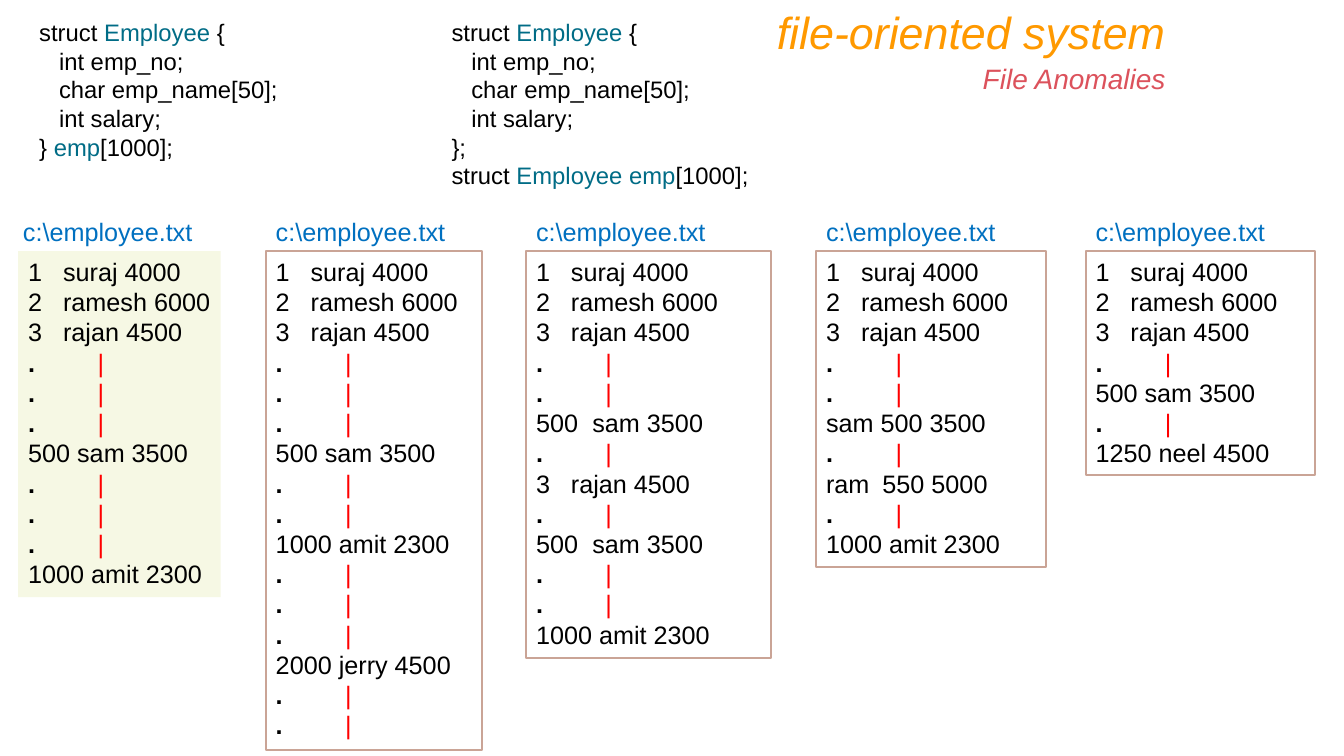
from lxml import etree
from pptx import Presentation
from pptx.dml.color import RGBColor
from pptx.enum.shapes import MSO_SHAPE
from pptx.enum.text import MSO_ANCHOR, PP_ALIGN
from pptx.oxml.ns import qn
from pptx.util import Cm, Pt

RECT = MSO_SHAPE.RECTANGLE
TOP = MSO_ANCHOR.TOP
LEFT, RIGHT = PP_ALIGN.LEFT, PP_ALIGN.RIGHT

BLACK, TEAL, BLUE, RED = "000000", "006C86", "0070C0", "FF0000"
ORANGE, ROSE, CREAM, TAN = "FF9900", "DC525C", "F6F8E4", "CAA496"

ROW = 0.77       # height of one record line, cm
PAD = 0.25       # top and bottom inset together, cm
LABEL = 1.0      # height of a file name, cm
ID_TAB, WORD_TAB, BAR_TAB = 0.88, 1.42, 1.75

# Stars enclose the coloured names in the code
FIELDS = ["struct *Employee* {", "   int emp_no;",
          "   char emp_name[50];", "   int salary;"]
CODES = [
    ((0.74, 0.33, 8.2, 3.89), FIELDS + ["} *emp*[1000];"]),
    ((11.13, 0.33, 10.8, 4.62),
     FIELDS + ["};", "struct *Employee emp*[1000];"]),
]

# Each file: left, width, label left, fill, records ("." is a skipped row)
HEAD = ["1\tsuraj 4000", "2\tramesh 6000", "3\trajan 4500"]
SAM, AMIT = "500 sam 3500", "1000 amit 2300"
WIDE = "500\tsam 3500"
GAP = ["."]
FILES = [
    (0.46, 5.1, 0.33, CREAM, HEAD + GAP * 3 + [SAM] + GAP * 3 + [AMIT]),
    (6.7, 5.46, 6.7, None, HEAD + GAP * 3 + [SAM] + GAP * 2 + [AMIT]
     + GAP * 3 + ["2000 jerry 4500"] + GAP * 2),
    (13.26, 6.17, 13.26, None, HEAD + GAP * 2 + [WIDE] + GAP + [HEAD[2]]
     + GAP + [WIDE] + GAP * 2 + [AMIT]),
    (20.57, 5.79, 20.57, None, HEAD + GAP * 2 + ["sam 500 3500"] + GAP
     + ["ram\t550 5000"] + GAP + [AMIT]),
    (27.36, 5.79, 27.36, None, HEAD + GAP + [SAM] + GAP
     + ["1250 neel 4500"]),
]


def color(code):
    return RGBColor.from_string(code)


def style(run, size, code, bold=False, italic=False):
    font = run.font
    font.name, font.size = "Arial", Pt(size)
    font.bold, font.italic = bold, italic
    font.color.rgb = color(code)


def add_tab(para, stop):
    tabs = etree.SubElement(para._p.get_or_add_pPr(), qn("a:tabLst"))
    etree.SubElement(tabs, qn("a:tab"), pos=str(Cm(stop)), algn="l")


def add_text(slide, box):
    frame = slide.shapes.add_textbox(*map(Cm, box)).text_frame
    frame.word_wrap = True
    return frame


def add_head(shape, box, text, size, code):
    """Fill a heading placeholder, set to the right."""
    shape.left, shape.top, shape.width, shape.height = map(Cm, box)
    frame = shape.text_frame
    frame.text = text
    frame.word_wrap = True
    frame.vertical_anchor = TOP
    para = frame.paragraphs[0]
    para.alignment = RIGHT
    para.space_before = Pt(0)
    style(para.runs[0], size, code, italic=True)


def add_code(slide, box, lines):
    """Place one struct, with its names in teal."""
    frame = add_text(slide, box)
    for i, line in enumerate(lines):
        para = frame.add_paragraph() if i else frame.paragraphs[0]
        for j, part in enumerate(line.split("*")):
            run = para.add_run()
            run.text = part
            style(run, 17, TEAL if j % 2 else BLACK)


def add_file(slide, box, edge, fill, rows):
    """Place a file name and the box of its records below it."""
    left, top, width = box

    # File name
    name = add_text(slide, (edge, top, width, LABEL))
    name.text = "c:\\employee.txt"
    style(name.paragraphs[0].runs[0], 18, BLUE)

    # Record box
    shape = slide.shapes.add_shape(
        RECT, Cm(left), Cm(top + LABEL), Cm(width),
        Cm(ROW * len(rows) + PAD))
    shape.shadow.inherit = False
    if fill:
        shape.fill.solid()
        shape.fill.fore_color.rgb = color(fill)
        shape.line.fill.background()
    else:
        shape.fill.background()
        shape.line.color.rgb = color(TAN)
        shape.line.width = Pt(1.5)

    # Records
    frame = shape.text_frame
    frame.word_wrap = True
    frame.vertical_anchor = TOP
    frame.margin_right = 0
    frame.text = "\n".join(rows)
    for para, row in zip(frame.paragraphs, rows):
        para.alignment = LEFT
        skip = row == "."
        style(para.runs[0], 18, BLACK, bold=skip)
        if skip:
            add_tab(para, BAR_TAB)
            bar = para.add_run()
            bar.text = "\t|"
            style(bar, 18, RED)
        elif "\t" in row:
            add_tab(para, ID_TAB if row in HEAD else WORD_TAB)


def main():
    deck = Presentation()
    deck.slide_width, deck.slide_height = Cm(33.87), Cm(19.05)
    slide = deck.slides.add_slide(deck.slide_layouts[0])

    # Headings
    title, sub = slide.placeholders
    add_head(title, (4.23, 0, 25.4, 1.63), "file-oriented system", 32, ORANGE)
    add_head(sub, (24.2, 1.42, 5.43, 1.12), "File Anomalies", 20, ROSE)

    # Code
    for box, lines in CODES:
        add_code(slide, box, lines)

    # Files
    for left, width, edge, fill, rows in FILES:
        add_file(slide, (left, 5.33, width), edge, fill, rows)

    deck.save("out.pptx")


if __name__ == "__main__":
    main()
